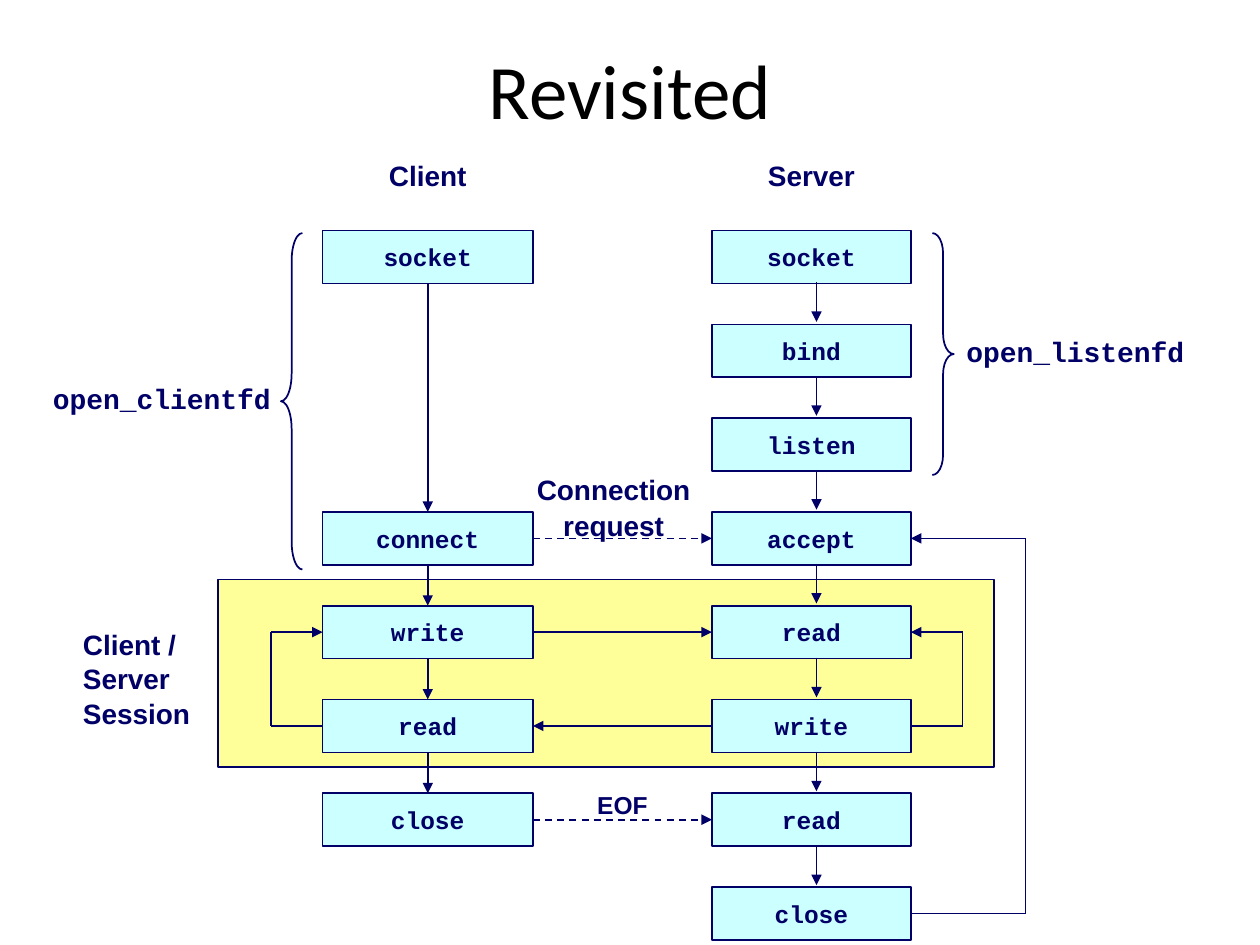
import pptx
import pptx.util
import pptx.dml.color
import pptx.enum.dml
import pptx.enum.shapes
import pptx.enum.text
import pptx.oxml
import pptx.oxml.ns

HUES = {"ink": "000066", "cell": "CCFFFF", "band": "FFFF99", "head": "000000"}
WIDE, HIGH = pptx.util.Inches(10), pptx.util.Inches(7.5)
COL, ROW = WIDE / 100, HIGH / 75
TOP, LEFT, BASE, RIGHT = range(4)
CELL = 4.2
KIND = pptx.enum.shapes.MSO_SHAPE
ALIGN = pptx.enum.text.PP_ALIGN


def hue(name):
    """Return a named colour."""
    return pptx.dml.color.RGBColor.from_string(HUES[name])


def span(box):
    """Turn columns and rows into slide lengths."""
    x, y, w, h = box
    return [round(n) for n in (x * COL, y * ROW, w * COL, h * ROW)]


def write(shape, lines, size, font, ink="ink", bold=True, align=ALIGN.CENTER, wrap=False):
    """Fill a shape with one paragraph per line."""
    frame = shape.text_frame
    frame.word_wrap = wrap
    frame.vertical_anchor = pptx.enum.text.MSO_ANCHOR.MIDDLE
    for i, line in enumerate(lines):
        para = frame.add_paragraph() if i else frame.paragraphs[0]
        para.alignment = align
        para.space_before = para.space_after = pptx.util.Pt(0.5)
        run = para.add_run()
        run.text = line
        run.font.size = pptx.util.Pt(size)
        run.font.name = font
        run.font.bold = bold
        run.font.color.rgb = hue(ink)


def label(page, box, lines, size=16, font="Arial", **style):
    """Add a text box."""
    write(page.shapes.add_textbox(*span(box)), lines, size, font, **style)


def form(page, kind, box, fill=None):
    """Add an outlined preset shape."""
    shape = page.shapes.add_shape(kind, *span(box))
    shape.shadow.inherit = False
    if fill:
        shape.fill.solid()
        shape.fill.fore_color.rgb = hue(fill)
    else:
        shape.fill.background()
    shape.line.color.rgb = hue("ink")
    shape.line.width = pptx.util.Pt(1)
    return shape


def link(page, start, end, tip=True, dash=False):
    """Draw a line between two ends, each a point or a shape with its side."""
    wire = page.shapes.add_connector(pptx.enum.shapes.MSO_CONNECTOR.STRAIGHT, 0, 0, 0, 0)
    (wire.begin_x, wire.begin_y), (wire.end_x, wire.end_y) = [
        (0, 0) if hasattr(spot[0], "shape_id") else (round(spot[0]), round(spot[1]))
        for spot in (start, end)]
    if hasattr(start[0], "shape_id"):
        wire.begin_connect(*start)
    if hasattr(end[0], "shape_id"):
        wire.end_connect(*end)
    wire.line.color.rgb = hue("ink")
    wire.line.width = pptx.util.Pt(1)
    if dash:
        wire.line.dash_style = pptx.enum.dml.MSO_LINE.DASH
    if tip:
        head = pptx.oxml.parse_xml(
            '<a:tailEnd %s type="triangle"/>' % pptx.oxml.ns.nsdecls("a"))
        wire.line._get_or_add_ln().append(head)
    props = wire._element.spPr
    props.append(pptx.oxml.parse_xml("<a:effectLst %s/>" % pptx.oxml.ns.nsdecls("a")))


def lane(page, box, title, calls):
    """Place a heading and a column of calls on eight even rows."""
    x, y, w, h = box
    step = (h - CELL) / 7
    label(page, (x, y - 6.2, w, 3.7), [title])
    cells = {}
    for row, call in calls.items():
        cells[row] = form(page, KIND.RECTANGLE, (x, y + row * step, w, CELL), "cell")
        write(cells[row], [call], 14, "Courier New")
    return cells


def loop(page, start, end, col, side):
    """Lead back from one call to an earlier one along a given column."""
    x = col * COL
    low, high = [cell.top + cell.height / 2 for cell in (start, end)]
    link(page, (start, side), (x, low), tip=False)
    link(page, (x, low), (x, high), tip=False)
    link(page, (x, high), (end, side))


def brace(page, box, kind, bend, text, spot):
    """Bracket the calls that one helper wraps and name it."""
    form(page, kind, box).adjustments[0] = bend
    label(page, spot, [text], font="Courier New")


def session(page, box):
    """Place the session band and its name to the left."""
    x, y, w, h = box
    form(page, KIND.RECTANGLE, box, "band")
    label(page, (x - 11.7, y + 3.3, 10.8, 9.2), ["Client / Server", "Session"],
          align=ALIGN.LEFT, wrap=True)


def flow(page, client, server):
    """Join the calls within and between the two lanes."""
    rows = sorted(client)
    for above, below in zip(rows, rows[1:]):
        link(page, (client[above], BASE), (client[below], TOP))
    for row in range(7):
        y = 22.4 + 7.45 * row
        link(page, (64.8 * COL, y * ROW), (64.8 * COL, (y + 3.15) * ROW))
    for row in (3, 4, 6):
        link(page, (client[row], RIGHT), (server[row], LEFT), dash=row != 4)
    link(page, (server[5], LEFT), (client[5], RIGHT))
    loop(page, client[5], client[4], 21.5, LEFT)
    loop(page, server[5], server[4], 76.4, RIGHT)
    loop(page, server[7], server[3], 81.4, RIGHT)
    label(page, (41.6, 37, 14.2, 6.5), ["Connection", "request"])
    label(page, (46.4, 62.2, 6, 3.4), ["EOF"], size=14)


def main():
    """Build and save the slide."""
    deck = pptx.Presentation()
    deck.slide_width, deck.slide_height = WIDE, HIGH
    page = deck.slides.add_slide(deck.slide_layouts[6])
    label(page, (5, 0.8, 90, 12.5), ["Revisited"], 44, "Calibri",
          ink="head", bold=False, wrap=True)
    session(page, (17.3, 46, 61.6, 14.9))
    client = lane(page, (25.6, 18.3, 16.7, 56.3), "Client",
                  {0: "socket", 3: "connect", 4: "write", 5: "read", 6: "close"})
    server = lane(page, (56.5, 18.3, 15.8, 56.3), "Server", dict(enumerate(
        ["socket", "bind", "listen", "accept", "read", "write", "read", "close"])))
    flow(page, client, server)
    brace(page, (74, 18.5, 1.7, 19.2), KIND.RIGHT_BRACE, 0.94,
          "open_listenfd", (75.7, 26, 19.3, 3.7))
    brace(page, (22.3, 18.5, 1.7, 26.7), KIND.LEFT_BRACE, 1.29,
          "open_clientfd", (3.2, 29.8, 19.3, 3.7))
    deck.save("out.pptx")


if __name__ == "__main__":
    main()
